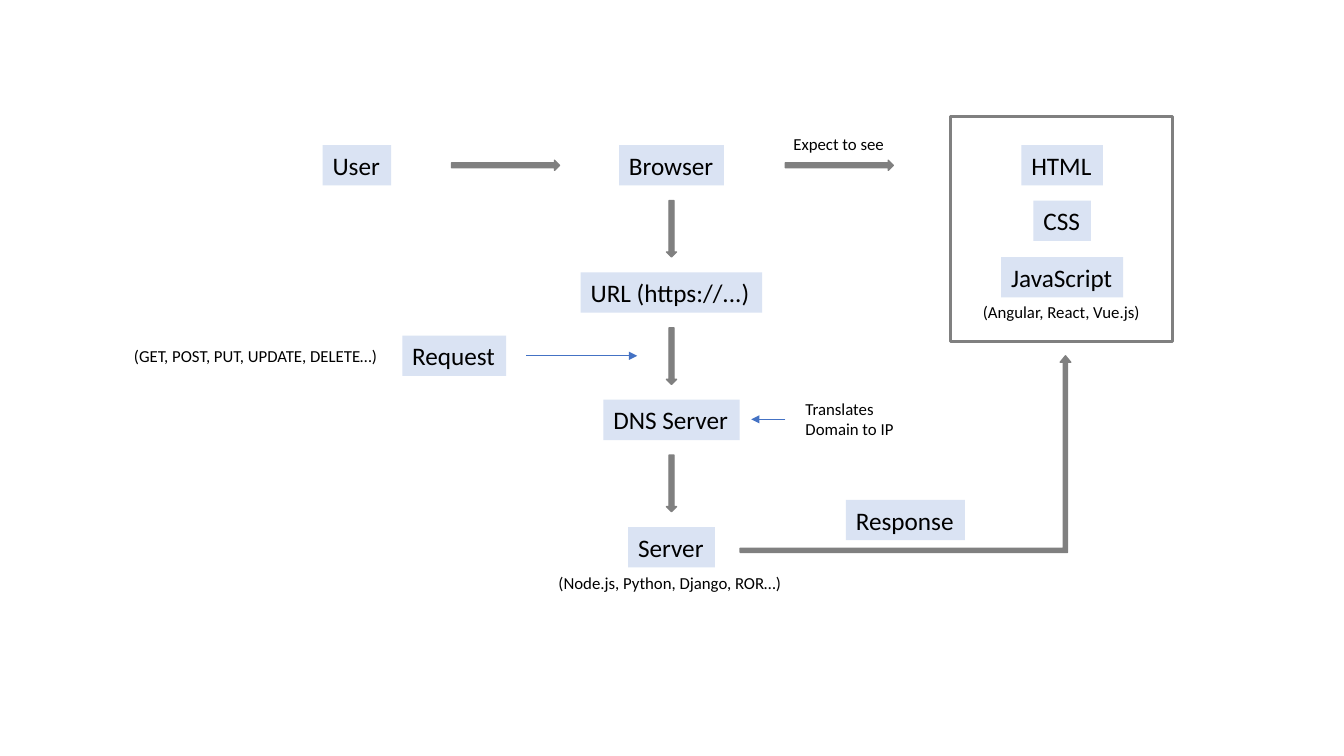
from dataclasses import dataclass
from lxml import etree
from pptx import Presentation
from pptx.dml.color import RGBColor
from pptx.enum.shapes import MSO_CONNECTOR, MSO_SHAPE
from pptx.enum.text import MSO_AUTO_SIZE
from pptx.oxml.ns import qn
from pptx.util import Inches, Pt


@dataclass
class Theme:
    font: str = "Calibri"
    label_size: int = 18
    note_size: int = 12
    text: RGBColor = RGBColor(0, 0, 0)
    label_fill: RGBColor = RGBColor(0xDA, 0xE3, 0xF3)
    arrow: RGBColor = RGBColor(0x80, 0x80, 0x80)
    pointer: RGBColor = RGBColor(0x44, 0x72, 0xC4)


theme = Theme()
deck = Presentation()
deck.slide_width, deck.slide_height = Inches(13.33), Inches(7.5)
page = deck.slides.add_slide(deck.slide_layouts[6])


def add_text(text, left, top, width, height, size):
    box = page.shapes.add_textbox(Inches(left), Inches(top), Inches(width), Inches(height))
    frame = box.text_frame
    frame.text = text
    frame.word_wrap = False
    frame.auto_size = MSO_AUTO_SIZE.SHAPE_TO_FIT_TEXT
    for para in frame.paragraphs:
        for span in para.runs:
            span.font.name = theme.font
            span.font.size = Pt(size)
            span.font.color.rgb = theme.text
    return box


def add_outlined(kind, left, top, width, height, line_width):
    shape = page.shapes.add_shape(kind, Inches(left), Inches(top), Inches(width), Inches(height))
    shape.shadow.inherit = False
    shape.line.color.rgb = theme.arrow
    shape.line.width = Pt(line_width)
    return shape


# Layout: one main column, stepping down at equal distances
column_center = 6.66
row_top, row_step = 1.44, 1.263
label_height = 0.4
panel_center = 10.535

# Frame around what the browser shows
panel = add_outlined(MSO_SHAPE.RECTANGLE, 9.43, 1.16, 2.2, 2.23, 2.25)
panel.fill.background()

# Labels: text, center, top, width
labels = [
    ("User", 3.54, row_top, 0.68),
    ("Request", 4.505, 3.33, 1.03),
    ("Response", 8.98, 4.96, 1.18),
    ("HTML", panel_center, row_top, 0.81),
    ("CSS", panel_center, 1.99, 0.57),
    ("JavaScript", panel_center, 2.55, 1.21),
]
steps = [("Browser", 1.04), ("URL (https://...)", 1.8), ("DNS Server", 1.35), ("Server", 0.86)]
for row, (text, width) in enumerate(steps):
    labels.append((text, column_center, row_top + row * row_step, width))
for text, center, top, width in labels:
    label = add_text(text, center - width / 2, top, width, label_height, theme.label_size)
    label.fill.solid()
    label.fill.fore_color.rgb = theme.label_fill

# Block arrows: across the first row, then down the column
arrow_height, down_length = 0.1, 0.56
block_arrows = [add_outlined(MSO_SHAPE.RIGHT_ARROW, left, 1.59, 1.07, arrow_height, 1)
                for left in (4.48, 7.79)]
for row in range(len(steps) - 1):
    down_arrow = add_outlined(MSO_SHAPE.RIGHT_ARROW, column_center - down_length / 2,
                              2.22 + row * row_step, down_length, arrow_height, 1)
    down_arrow.rotation = 90
    block_arrows.append(down_arrow)

# Bent arrow from the server back to the panel
response_arrow = add_outlined(MSO_SHAPE.BENT_UP_ARROW, 7.34, 3.53, 3.28, 1.95, 1)
for index, value in enumerate((0.021, 0.027, 0.033)):
    response_arrow.adjustments[index] = value
block_arrows.append(response_arrow)
for arrow in block_arrows:
    arrow.fill.solid()
    arrow.fill.fore_color.rgb = theme.arrow

# Thin pointers: start, end, height on the page
for start, end, level in [(5.22, 6.32, 3.53), (7.79, 7.45, 4.16)]:
    pointer = page.shapes.add_connector(
        MSO_CONNECTOR.STRAIGHT, Inches(start), Inches(level), Inches(end), Inches(level))
    pointer.line.color.rgb = theme.pointer
    pointer.line.width = Pt(0.5)
    etree.SubElement(pointer.line._get_or_add_ln(), qn("a:tailEnd"), type="triangle")
    etree.SubElement(pointer._element.spPr, qn("a:effectLst"))

# Small notes: text, left, top, width, height
notes = [
    ("Expect to see", 7.77, 1.28, 1.11, 0.3),
    ("(GET, POST, PUT, UPDATE, DELETE…)", 1.23, 3.38, 2.65, 0.3),
    ("Translates\nDomain to IP", 7.89, 3.91, 1.09, 0.5),
    ("(Node.js, Python, Django, ROR…)", 5.44, 5.63, 2.45, 0.3),
    ("(Angular, React, Vue.js)", 9.65, 2.94, 1.77, 0.3),
]
for text, left, top, width, height in notes:
    add_text(text, left, top, width, height, theme.note_size)

deck.save("out.pptx")
